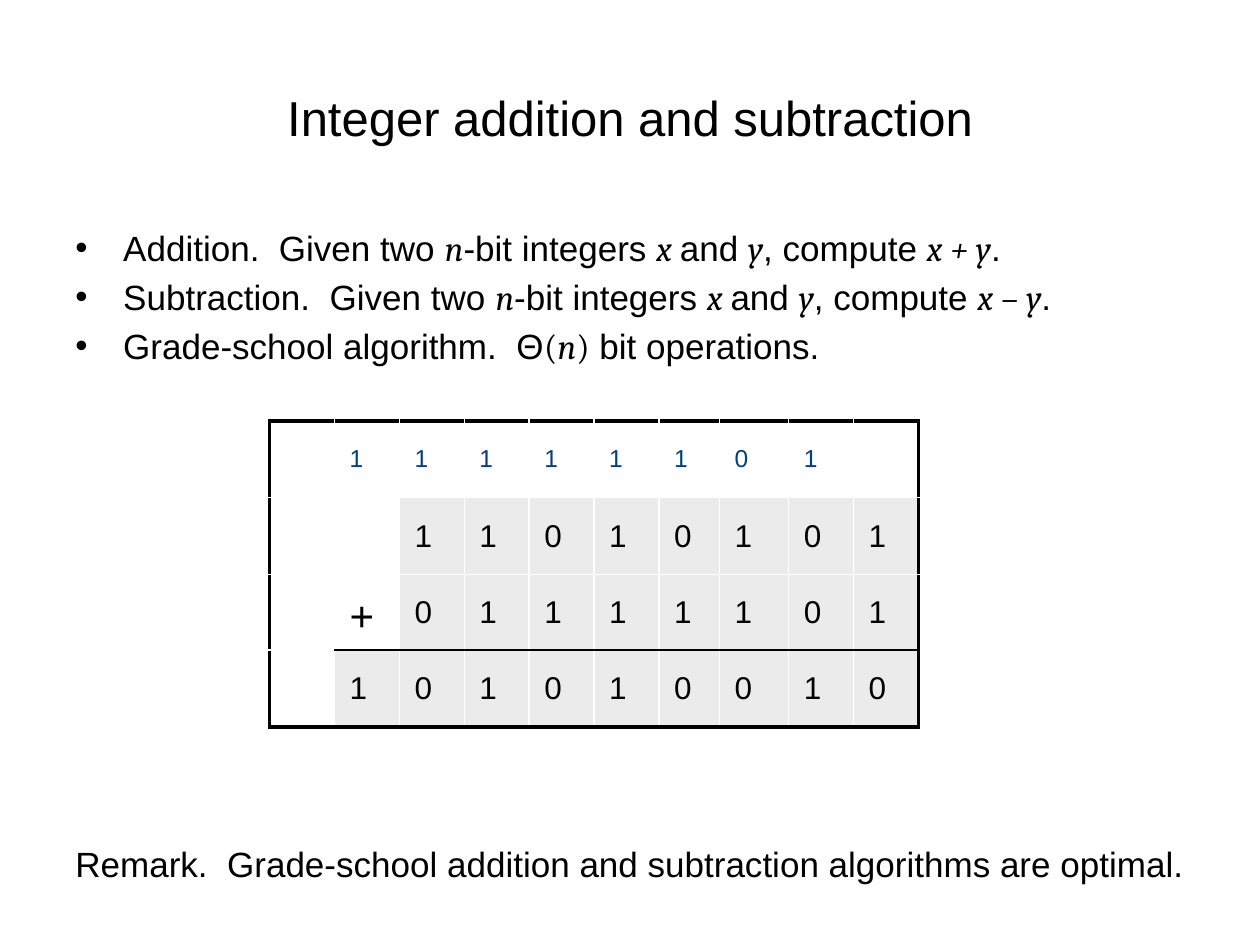
from lxml import etree
from pptx import Presentation
from pptx.dml.color import RGBColor
from pptx.enum import text
from pptx.oxml import ns
from pptx.util import Inches, Pt

BLACK = RGBColor(0, 0, 0)
WHITE = RGBColor(255, 255, 255)
CARRY_BLUE = RGBColor(0x00, 0x3F, 0x83)
DIGIT_GRAY = RGBColor(0xEB, 0xEB, 0xEB)

MATH_MARK = "|"
BULLETS = [
    "Addition.  Given two |n|-bit integers |x |and |y|, compute |x + y|.",
    "Subtraction.  Given two |n|-bit integers |x |and |y|, compute |x – y|.",
    "Grade-school algorithm.  Θ|(||n||)| bit operations.",
]
REMARK = "Remark.  Grade-school addition and subtraction algorithms are optimal."

SUM_ROWS = [" 11111101 ", "  11010101", " +01111101", " 101010010"]
ROW_HEIGHTS = [0.61, 0.61, 0.55, 0.61]
TABLE_WIDTH = 5.15
SPECIAL_WIDTHS = {6: 0.48, 7: 0.55}
OUTER, GRID, RULE = (BLACK, 2.25), (WHITE, 1), (BLACK, 1)


def set_font(target, size, color=BLACK, name="Arial"):
    target.font.name = name
    target.font.size = Pt(size)
    target.font.color.rgb = color


def add_text_box(page, left, top, width, height):
    box = page.shapes.add_textbox(Inches(left), Inches(top), Inches(width), Inches(height))
    box.text_frame.word_wrap = True
    return box.text_frame


def set_indent(para, left, first=0):
    properties = para._p.get_or_add_pPr()
    properties.set("marL", str(Inches(left)))
    properties.set("indent", str(Inches(first)))
    return properties


def add_title(page, title):
    frame = add_text_box(page, 0.5, 0.3, 9, 1.25)
    frame.vertical_anchor = text.MSO_ANCHOR.MIDDLE
    para = frame.paragraphs[0]
    para.text = title
    para.alignment = text.PP_ALIGN.CENTER
    set_font(para, 28)


def write_bullet(para, sentence):
    properties = set_indent(para, 0.38, -0.38)
    etree.SubElement(properties, ns.qn("a:buFont")).set("typeface", "Arial")
    etree.SubElement(properties, ns.qn("a:buChar")).set("char", "•")
    for index, part in enumerate(sentence.split(MATH_MARK)):
        if not part:
            continue
        span = para.add_run()
        span.text = part
        is_math = index % 2 == 1
        set_font(span, 20, name="Cambria" if is_math else "Arial")
        span.font.italic = is_math and part not in "()"


def add_body(page):
    frame = add_text_box(page, 0.5, 1.75, 9, 4.95)
    for index, sentence in enumerate(BULLETS):
        para = frame.add_paragraph() if index else frame.paragraphs[0]
        para.space_before = Pt(4 if index else 0)
        write_bullet(para, sentence)
    remark = frame.add_paragraph()
    remark.text = REMARK
    remark.space_before = Pt(272)
    set_font(remark, 20)


def set_borders(cell, edges):
    properties = cell._tc.get_or_add_tcPr()
    for side, (color, width) in zip("LRTB", edges):
        line = etree.SubElement(properties, ns.qn(f"a:ln{side}"), w=str(Pt(width)))
        fill = etree.SubElement(line, ns.qn("a:solidFill"))
        etree.SubElement(fill, ns.qn("a:srgbClr"), val=str(color))


def cell_edges(row, column):
    last_row, last_column = len(SUM_ROWS) - 1, len(SUM_ROWS[0]) - 1
    above_sum = RULE if column else GRID
    return (
        GRID if column else OUTER,
        OUTER if column == last_column else GRID,
        OUTER if row == 0 else above_sum if row == last_row else GRID,
        OUTER if row == last_row else above_sum if row == last_row - 1 else GRID,
    )


def fill_cell(cell, row, column, mark):
    set_borders(cell, cell_edges(row, column))
    if row and mark.isdigit():
        cell.fill.solid()
        cell.fill.fore_color.rgb = DIGIT_GRAY
    else:
        cell.fill.background()
    cell.margin_left = cell.margin_right = Inches(0.06)
    cell.margin_top = cell.margin_bottom = Inches(0.06)
    cell.vertical_anchor = text.MSO_ANCHOR.MIDDLE
    para = cell.text_frame.paragraphs[0]
    para.text = mark.strip()
    set_indent(para, 0.06)
    if mark == "+":
        para.line_spacing = 1.2
        set_font(para, 24)
    elif row == 0:
        set_font(para, 14, CARRY_BLUE)
    else:
        set_font(para, 18)


def add_sum_table(page):
    count = len(SUM_ROWS[0])
    frame = page.shapes.add_table(len(SUM_ROWS), count, Inches(2.14), Inches(3.34),
                                  Inches(TABLE_WIDTH), Inches(sum(ROW_HEIGHTS)))
    table = frame.table
    table.first_row = table.horz_banding = False
    regular = (TABLE_WIDTH - sum(SPECIAL_WIDTHS.values())) / (count - len(SPECIAL_WIDTHS))
    for index, column in enumerate(table.columns):
        column.width = Inches(SPECIAL_WIDTHS.get(index, regular))
    for row, marks in enumerate(SUM_ROWS):
        table.rows[row].height = Inches(ROW_HEIGHTS[row])
        for column, mark in enumerate(marks):
            fill_cell(table.cell(row, column), row, column, mark)


def main():
    deck = Presentation()
    deck.slide_width, deck.slide_height = Inches(10), Inches(7.5)
    page = deck.slides.add_slide(deck.slide_layouts[6])
    add_title(page, "Integer addition and subtraction")
    add_body(page)
    add_sum_table(page)
    deck.save("out.pptx")


if __name__ == "__main__":
    main()
